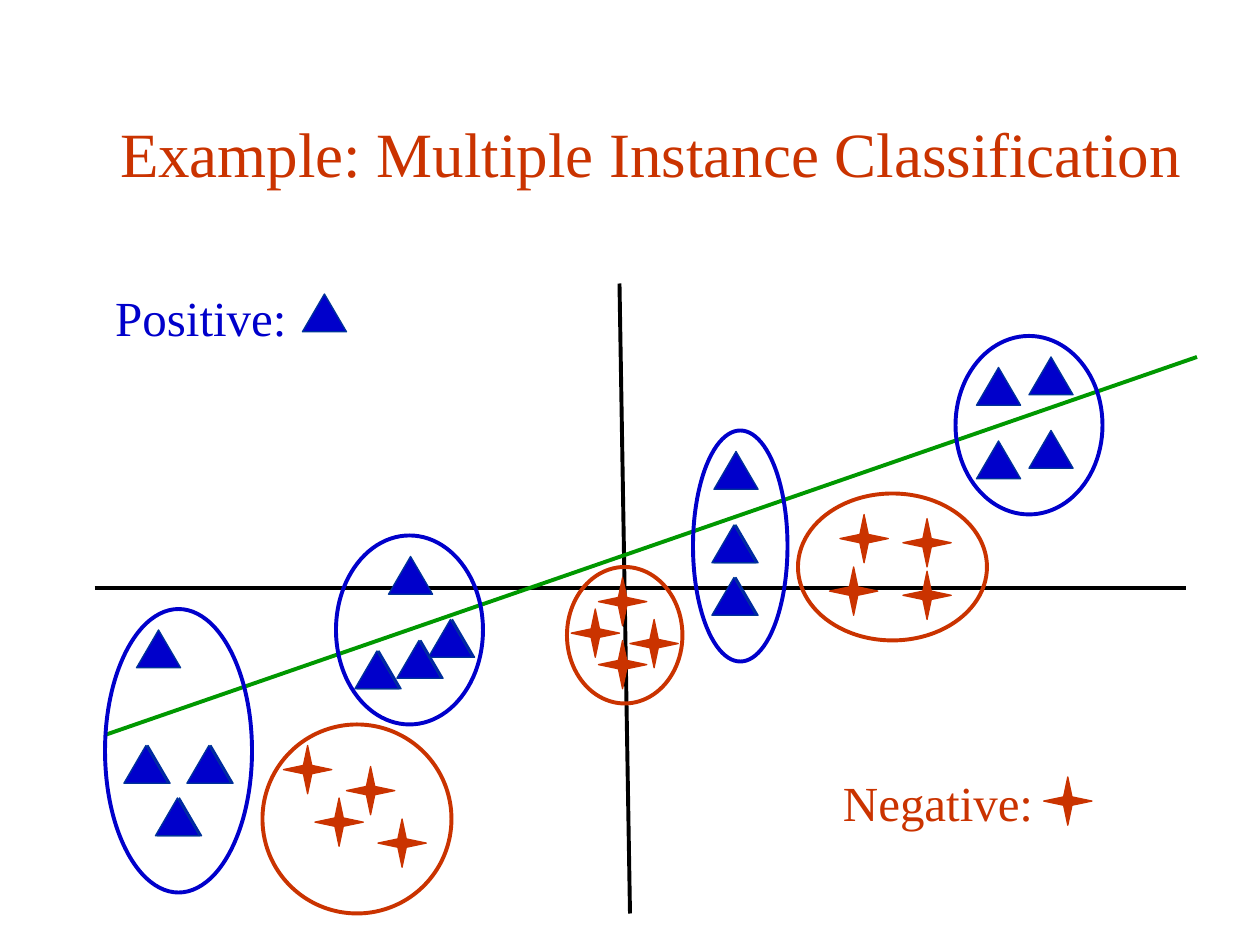
from lxml.etree import SubElement
from pptx import Presentation
from pptx.dml.color import RGBColor
from pptx.enum.shapes import MSO_CONNECTOR, MSO_SHAPE
from pptx.enum.text import MSO_ANCHOR, PP_ALIGN
from pptx.oxml.ns import qn
from pptx.util import Cm, Pt

BLUE = RGBColor(0x00, 0x00, 0xCB)
NAVY = RGBColor(0x00, 0x33, 0x99)
RED = RGBColor(0xCA, 0x33, 0x00)
GREEN = RGBColor(0x00, 0x98, 0x00)
BLACK = RGBColor(0x00, 0x00, 0x00)

FONT = "Times New Roman"
TRIANGLE = (4.2, 3.6)
STAR_SIZE = 4.6
STAR_WAIST = 0.4
ECHO_SHIFT = 0.2

# Each bag: box (left, top, width, height), instances, and instances drawn twice.
# Instance positions are relative to the bag's box.
POSITIVE_BAGS = [
    ((10, 58, 14, 27), [(3, 2)], [(2, 13), (8, 13), (5, 18)]),
    ((32, 51, 14, 18), [(5, 2)], [(6, 10), (9, 8), (2, 11)]),
    ((66, 41, 9, 22), [(2, 2)], [(2, 9), (2, 14)]),
    ((91, 32, 14, 17), [(2, 3), (7, 2), (2, 10), (7, 9)], []),
]
NEGATIVE_BAGS = [
    ((25, 69, 18, 18), [(2, 2), (5, 7), (11, 9), (8, 4)]),
    ((54, 54, 11, 13), [(3, 1), (3, 7), (6, 5), (0.4, 4)]),
    ((76, 47, 18, 14), [(4, 2), (10, 2.4), (10, 7.4), (3, 7)]),
]


def grid(steps):
    """Length of a number of grid steps; the page is 120 by 90 steps."""
    return Cm(steps * 25.4 / 120)


def add_text(page, box, text, size, color, align=PP_ALIGN.LEFT,
             anchor=MSO_ANCHOR.TOP, wrap=True):
    frame = page.shapes.add_textbox(*map(grid, box)).text_frame
    frame.word_wrap = wrap
    frame.vertical_anchor = anchor
    para = frame.paragraphs[0]
    para.alignment = align
    span = para.add_run()
    span.text = text
    span.font.name = FONT
    span.font.size = Pt(size)
    span.font.color.rgb = color


def add_line(page, start, end, color):
    line = page.shapes.add_connector(
        MSO_CONNECTOR.STRAIGHT, *map(grid, start + end))
    line.line.color.rgb = color
    line.line.width = Pt(2.25)
    SubElement(line._element.spPr, qn("a:effectLst"))


def style_marker(marker, fill, outline):
    marker.shadow.inherit = False
    marker.fill.solid()
    marker.fill.fore_color.rgb = fill
    marker.line.color.rgb = outline
    marker.line.width = Pt(0.75)


def add_triangle(page, left, top):
    marker = page.shapes.add_shape(
        MSO_SHAPE.ISOSCELES_TRIANGLE, *map(grid, (left, top) + TRIANGLE))
    style_marker(marker, BLUE, NAVY)


def add_star(page, left, top):
    half = STAR_SIZE / 2
    near, far = half - STAR_WAIST, half + STAR_WAIST
    corners = [(0, half), (near, near), (half, 0), (far, near),
               (STAR_SIZE, half), (far, far), (half, STAR_SIZE), (near, far)]
    points = [(grid(left + x), grid(top + y)) for x, y in corners]
    builder = page.shapes.build_freeform(*points[0])
    builder.add_line_segments(points[1:], close=True)
    style_marker(builder.convert_to_shape(), RED, RED)


def add_bag(page, box, instances, add_marker, color):
    left, top = box[:2]
    for x, y in instances:
        add_marker(page, left + x, top + y)
    outline = page.shapes.add_shape(MSO_SHAPE.OVAL, *map(grid, box))
    outline.shadow.inherit = False
    outline.fill.background()
    outline.line.color.rgb = color
    outline.line.width = Pt(2.25)


def add_title(page, box):
    add_text(page, box, "Example: Multiple Instance Classification", 36, RED,
             PP_ALIGN.CENTER, MSO_ANCHOR.MIDDLE)


def add_plot_lines(page, box):
    """Both axes and the separating line, inside the given box."""
    left, top, width, height = box
    right, bottom = left + width, top + height
    add_line(page, (left, top + 29), (right - 1, top + 29), BLACK)
    add_line(page, (left + 50, top), (left + 51, bottom), BLACK)
    add_line(page, (left + 1, top + 43), (right, top + 7), GREEN)


def add_legend(page, box, text, color, add_marker, offset, wrap):
    add_text(page, box, text, 28, color, wrap=wrap)
    add_marker(page, box[0] + offset[0], box[1] + offset[1])


def main():
    deck = Presentation()
    deck.slide_width, deck.slide_height = grid(120), grid(90)
    page = deck.slides.add_slide(deck.slide_layouts[6])

    add_title(page, (9, 8, 106, 13))
    add_plot_lines(page, (9, 27, 105, 60))
    for box, instances in NEGATIVE_BAGS:
        add_bag(page, box, instances, add_star, RED)
    for box, single, doubled in POSITIVE_BAGS:
        echoes = [(x - ECHO_SHIFT, y) for x, y in doubled]
        add_bag(page, box, single + doubled + echoes, add_triangle, BLUE)
    add_legend(page, (9.8, 26.8, 19.2, 6.8), "Positive:", BLUE,
               add_triangle, (19, 1.2), True)
    add_legend(page, (79.1, 73, 20.5, 6.8), "Negative:", RED,
               add_star, (20.3, 1), False)

    deck.save("out.pptx")


if __name__ == "__main__":
    main()
